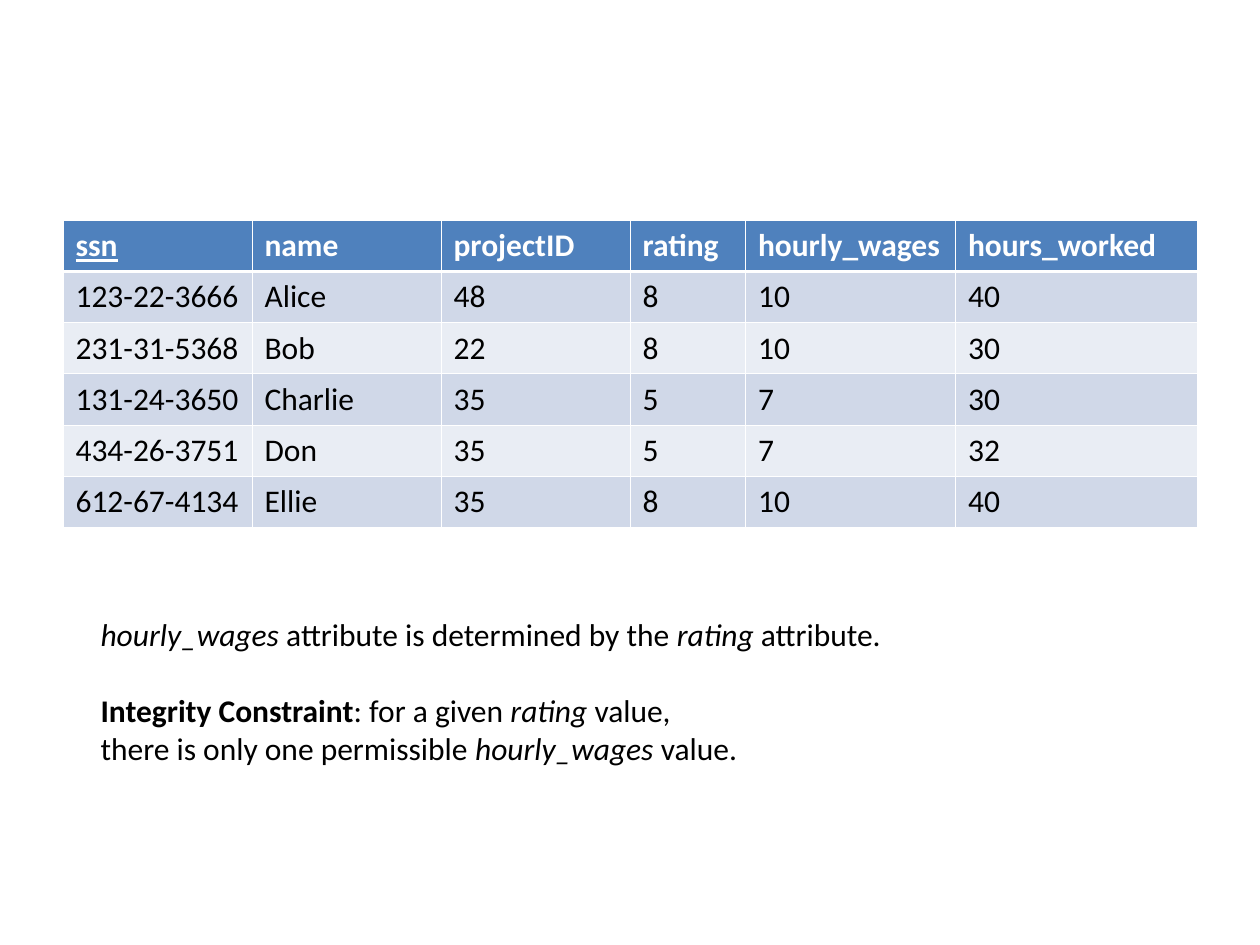
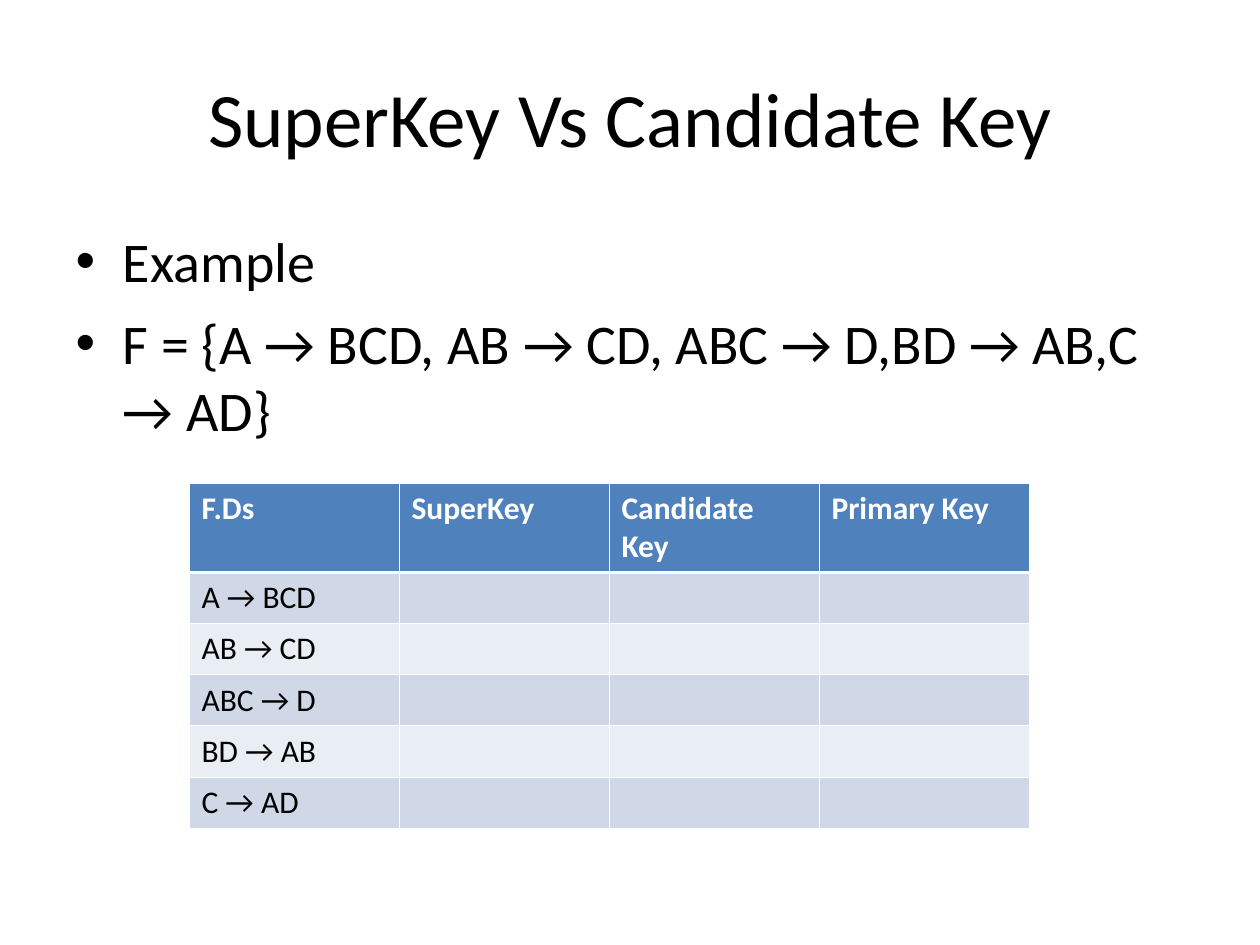
from lxml.etree import SubElement
from pptx import Presentation
from pptx.dml.color import RGBColor
from pptx.enum.text import MSO_ANCHOR, PP_ALIGN
from pptx.oxml.ns import qn
from pptx.util import Pt

FONT = "Calibri"
HUES = {"head": "4F81BD", "dark": "D0D8E8", "light": "E9EDF4",
        "white": "FFFFFF", "black": "000000"}
FORMS = {
    "plain": {},
    "slant": {"italic": True},
    "bold": {"bold": True},
    "key": {"bold": True, "underline": True},
}
THIN, THICK = 0.45, 1.47
ROW = 29.2

STAFF = [
    ["ssn", "name", "projectID", "rating", "hourly_wages", "hours_worked"],
    ["123-22-3666", "Alice", "48", "8", "10", "40"],
    ["231-31-5368", "Bob", "22", "8", "10", "30"],
    ["131-24-3650", "Charlie", "35", "5", "7", "30"],
    ["434-26-3751", "Don", "35", "5", "7", "32"],
    ["612-67-4134", "Ellie", "35", "8", "10", "40"],
]
RULES = ["A → BCD", "AB → CD", "ABC → D", "BD → AB", "C → AD"]
KEYS = [["F.Ds", "SuperKey", "Candidate Key", "Primary Key"]]
KEYS += [[rule, "", "", ""] for rule in RULES]
NOTES = [
    (0, [("hourly_wages ", "slant"), ("attribute is determined by the ", "plain"),
         ("rating ", "slant"), ("attribute.", "plain")]),
    (22, [("Integrity Constraint", "bold"), (": for a given ", "plain"),
          ("rating ", "slant"), ("value,", "plain")]),
    (0, [("there is only one permissible ", "plain"),
         ("hourly_wages ", "slant"), ("value.", "plain")]),
]


def shade(name):
    return RGBColor.from_string(HUES[name])


def place(shape, box):
    for side, value in zip(("left", "top", "width", "height"), box):
        setattr(shape, side, Pt(value))


def write(para, text, size=18, form="plain", hue="black"):
    run = para.add_run()
    run.text = text
    values = {"name": FONT, "size": Pt(size), **FORMS[form]}
    for field, value in values.items():
        setattr(run.font, field, value)
    run.font.color.rgb = shade(hue)


def edge(cell, sides):
    props = cell._tc.get_or_add_tcPr()
    for side, width in sides.items():
        line = SubElement(props, qn(f"a:ln{side}"), w=str(int(Pt(width))))
        fill = SubElement(line, qn("a:solidFill"))
        SubElement(fill, qn("a:srgbClr"), val=HUES["white"])


def add_grid(slide, rows, box, widths, heights, key=None):
    frame = slide.shapes.add_table(len(rows), len(widths), *map(Pt, box))
    table = frame.table
    for column, width in zip(table.columns, widths):
        column.width = Pt(width)
    for r, (row, height) in enumerate(zip(rows, heights)):
        table.rows[r].height = Pt(height)
        band = "head" if r == 0 else ("light", "dark")[r % 2]
        for c, text in enumerate(row):
            cell = table.cell(r, c)
            edge(cell, {"L": THIN, "R": THIN,
                        "T": THICK if r == 1 else THIN,
                        "B": THICK if r == 0 else THIN})
            cell.fill.solid()
            cell.fill.fore_color.rgb = shade(band)
            if text:
                form = "plain" if r else "key" if text == key else "bold"
                write(cell.text_frame.paragraphs[0], text, form=form,
                      hue="black" if r else "white")


def add_notes(slide, notes, box):
    frame = slide.shapes.add_textbox(*map(Pt, box)).text_frame
    frame.word_wrap = False
    for i, (gap, runs) in enumerate(notes):
        para = frame.add_paragraph() if i else frame.paragraphs[0]
        para.space_before = Pt(gap)
        for text, form in runs:
            write(para, text, form=form)


def set_title(slide, text):
    title = slide.shapes.title
    place(title, (36, 21.6, 648, 90))
    title.text_frame.vertical_anchor = MSO_ANCHOR.MIDDLE
    para = title.text_frame.paragraphs[0]
    para.alignment = PP_ALIGN.CENTER
    write(para, text, 44)


def set_list(slide, items):
    body = slide.placeholders[1]
    place(body, (36, 126, 648, 356.4))
    frame = body.text_frame
    for i, item in enumerate(items):
        para = frame.add_paragraph() if i else frame.paragraphs[0]
        para.space_before = Pt(8)
        write(para, item, 32)


def main():
    deck = Presentation()
    deck.slide_width, deck.slide_height = Pt(720), Pt(540)

    wages = deck.slides.add_slide(deck.slide_layouts[6])
    add_grid(wages, STAFF, (36, 126, 648, 175.2),
             [108, 108, 108, 66, 120, 138], [ROW] * 6, key="ssn")
    add_notes(wages, NOTES, (50.4, 347.8, 465, 136.8))

    keys = deck.slides.add_slide(deck.slide_layouts[1])
    set_title(keys, "SuperKey Vs Candidate Key")
    set_list(keys, ["Example",
                    "F = {A → BCD, AB → CD, ABC → D,BD → AB,C → AD}"])
    add_grid(keys, KEYS, (108, 276, 480, 196.4),
             [120] * 4, [50.4] + [ROW] * 5)

    deck.save("out.pptx")


if __name__ == "__main__":
    main()
